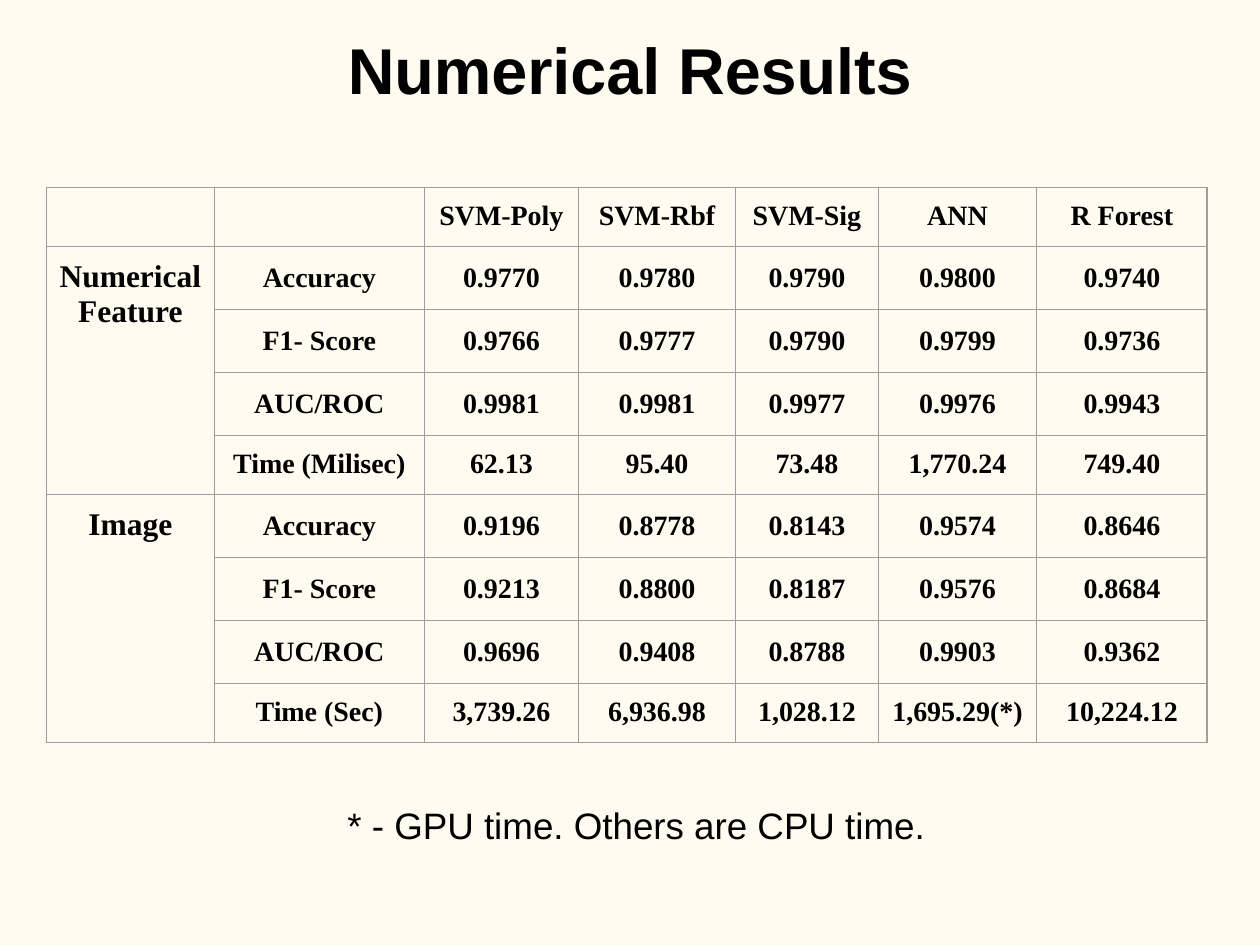
from lxml import etree
from pptx import Presentation
from pptx.dml.color import RGBColor
from pptx.enum.text import MSO_ANCHOR, PP_ALIGN
from pptx.oxml.ns import qn
from pptx.util import Inches, Pt

CENTER = PP_ALIGN.CENTER
TOP, MIDDLE, BOTTOM = MSO_ANCHOR.TOP, MSO_ANCHOR.MIDDLE, MSO_ANCHOR.BOTTOM

COLORS = {"background": "FFFBF0", "text": "000000", "border": "9E9E9E"}
W, H = 10, 7.5
COLS = [1.33, 1.67, 1.22, 1.25, 1.13, 1.26, 1.35]
HEADER_H, SCORE_H, TIME_H = 0.44, 0.5, 0.44
MODELS = ["SVM-Poly", "SVM-Rbf", "SVM-Sig", "ANN", "R Forest"]
GROUPS = {
    "Numerical Feature": [
        ["Accuracy", "0.9770", "0.9780", "0.9790", "0.9800", "0.9740"],
        ["F1- Score", "0.9766", "0.9777", "0.9790", "0.9799", "0.9736"],
        ["AUC/ROC", "0.9981", "0.9981", "0.9977", "0.9976", "0.9943"],
        ["Time (Milisec)", "62.13", "95.40", "73.48", "1,770.24", "749.40"],
    ],
    "Image": [
        ["Accuracy", "0.9196", "0.8778", "0.8143", "0.9574", "0.8646"],
        ["F1- Score", "0.9213", "0.8800", "0.8187", "0.9576", "0.8684"],
        ["AUC/ROC", "0.9696", "0.9408", "0.8788", "0.9903", "0.9362"],
        ["Time (Sec)", "3,739.26", "6,936.98", "1,028.12", "1,695.29(*)", "10,224.12"],
    ],
}


def add_run(p, text, size, font, bold=False):
    """Add one centred run of text to a paragraph."""
    p.alignment = CENTER
    r = p.add_run()
    r.text = text
    r.font.size, r.font.name, r.font.bold = Pt(size), font, bold
    r.font.color.rgb = RGBColor.from_string(COLORS["text"])


def add_text(s, box, text, size, anchor, bold=False):
    """Add a wrapped text box and return its paragraph."""
    tf = s.shapes.add_textbox(*map(Inches, box)).text_frame
    tf.word_wrap, tf.vertical_anchor = True, anchor
    tf.margin_left = tf.margin_right = tf.margin_top = tf.margin_bottom = Inches(0.12)
    p = tf.paragraphs[0]
    add_run(p, text, size, "Arial", bold)
    return p


def style_cell(cell):
    """Give a cell thin borders on all sides and no fill."""
    tc_pr = cell._tc.get_or_add_tcPr()
    for side in ("a:lnL", "a:lnR", "a:lnT", "a:lnB"):
        ln = etree.SubElement(tc_pr, qn(side), w=str(Pt(0.75)))
        fill = etree.SubElement(ln, qn("a:solidFill"))
        etree.SubElement(fill, qn("a:srgbClr"), val=COLORS["border"])
    cell.fill.background()


def fill_cell(cell, text, size=16, anchor=TOP):
    """Write bold centred text into a cell."""
    cell.margin_top = cell.margin_bottom = Inches(0.1)
    cell.vertical_anchor = anchor
    add_run(cell.text_frame.paragraphs[0], text, size, "Times New Roman", True)


def add_results(s, left, top):
    """Add the table of scores and times by feature group and model."""
    heights = [HEADER_H]
    for metrics in GROUPS.values():
        heights += [SCORE_H] * (len(metrics) - 1) + [TIME_H]
    box = map(Inches, (left, top, sum(COLS), sum(heights)))
    table = s.shapes.add_table(len(heights), len(COLS), *box).table
    table.first_row = table.horz_banding = False
    for col, width in zip(table.columns, COLS):
        col.width = Inches(width)
    for row, height in zip(table.rows, heights):
        row.height = Inches(height)
    for cell in table.iter_cells():
        style_cell(cell)
    for j, model in enumerate(MODELS, 2):
        fill_cell(table.cell(0, j), model)
    first = 1
    for group, metrics in GROUPS.items():
        last = first + len(metrics) - 1
        table.cell(first, 0).merge(table.cell(last, 0))
        fill_cell(table.cell(first, 0), group, 18)
        for i, values in enumerate(metrics, first):
            for j, value in enumerate(values, 1):
                fill_cell(table.cell(i, j), value, anchor=TOP if i == last else MIDDLE)
        first = last + 1


def main():
    """Build the slide and save it."""
    prs = Presentation()
    prs.slide_width, prs.slide_height = Inches(W), Inches(H)
    s = prs.slides.add_slide(prs.slide_layouts[6])
    s.background.fill.solid()
    s.background.fill.fore_color.rgb = RGBColor.from_string(COLORS["background"])
    add_text(s, (0, 0.08, W, 0.89), "Numerical Results", 37, BOTTOM, True)
    add_results(s, 0.37, 1.49)
    note = "* - GPU time. Others are CPU time."
    p = add_text(s, (0.39, 6.2, 9.32, 0.82), note, 21, TOP)
    p.line_spacing, p.space_after = 1.15, Pt(20)
    prs.save("out.pptx")


if __name__ == "__main__":
    main()
